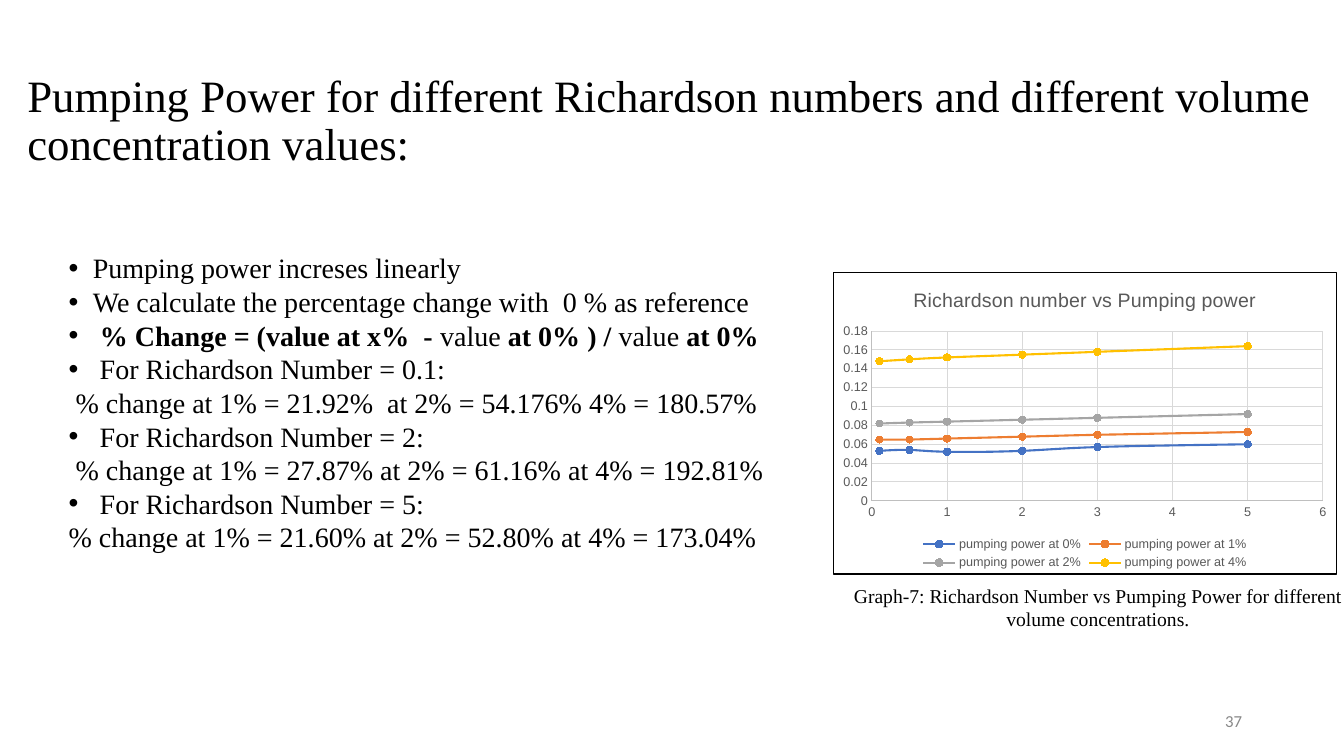
"""Build the slide on pumping power against Richardson number."""
from dataclasses import dataclass

from lxml import etree
from pptx import Presentation
from pptx.chart.data import XyChartData
from pptx.dml.color import RGBColor
from pptx.enum.chart import XL_CHART_TYPE, XL_LEGEND_POSITION, XL_MARKER_STYLE, XL_TICK_MARK
from pptx.enum.text import MSO_ANCHOR, MSO_AUTO_SIZE, PP_ALIGN
from pptx.oxml import parse_xml
from pptx.oxml.ns import nsdecls, qn
from pptx.util import Inches, Pt

SMOOTH_SCATTER = XL_CHART_TYPE.XY_SCATTER_SMOOTH
LEGEND_BOTTOM = XL_LEGEND_POSITION.BOTTOM
CIRCLE = XL_MARKER_STYLE.CIRCLE
NO_TICK = XL_TICK_MARK.NONE
TOP, MIDDLE = MSO_ANCHOR.TOP, MSO_ANCHOR.MIDDLE
NO_FIT = MSO_AUTO_SIZE.NONE
LEFT, CENTER, RIGHT = PP_ALIGN.LEFT, PP_ALIGN.CENTER, PP_ALIGN.RIGHT
SLIDE_WIDTH, SLIDE_HEIGHT = Inches(13.33), Inches(7.5)
BULLET_INDENT = Inches(0.24)


@dataclass(frozen=True)
class TextStyle:
    """Typeface, size in points, colour and alignment of a text."""
    font: str
    size: float
    color: str
    align: PP_ALIGN = LEFT


@dataclass(frozen=True)
class Theme:
    """All colours and type sizes of the slide."""
    title: TextStyle = TextStyle("Times New Roman", 32, "000000")
    body: TextStyle = TextStyle("Times New Roman", 20, "000000")
    caption: TextStyle = TextStyle("Times New Roman", 14, "000000", CENTER)
    number: TextStyle = TextStyle("Calibri", 12, "888888", RIGHT)
    chart: TextStyle = TextStyle("Arial", 10, "000000")
    chart_title: TextStyle = TextStyle("Arial", 14, "595959", CENTER)
    chart_label: TextStyle = TextStyle("Arial", 9, "595959")
    axis: str = "BFBFBF"
    grid: str = "D9D9D9"
    border: str = "000000"
    hairline: float = 0.75
    curve: float = 1.5


@dataclass(frozen=True)
class Frame:
    """A rectangle in percent of the slide's width and height."""
    left: float
    top: float
    width: float
    height: float

    def lengths(self) -> tuple:
        """Return left, top, width and height as slide lengths."""
        return (int(SLIDE_WIDTH * self.left / 100), int(SLIDE_HEIGHT * self.top / 100),
                int(SLIDE_WIDTH * self.width / 100), int(SLIDE_HEIGHT * self.height / 100))


@dataclass(frozen=True)
class Line:
    """One body line, whose spans are pairs of text and boldness."""
    spans: tuple
    bullet: bool = True


@dataclass(frozen=True)
class Curve:
    """One chart series."""
    name: str
    color: str
    values: tuple


THEME = Theme()
TITLE_FRAME = Frame(1.28, 10.93, 98.12, 16.8)
BODY_FRAME = Frame(4.35, 32.53, 53.94, 44.93)
CHART_FRAME = Frame(61.97, 36, 37.51, 40)
CAPTION_FRAME = Frame(62.49, 76.53, 38.41, 7.6)
NUMBER_FRAME = Frame(70.67, 92.67, 22.5, 5.33)

TITLE = "Pumping Power for different Richardson numbers and different volume concentration values:"
CAPTION = "Graph-7: Richardson Number vs Pumping Power for different volume concentrations."
LINES = (
    Line((("Pumping power increses linearly", False),)),
    Line((("We calculate the percentage change with  0 % as reference", False),)),
    Line(((" ", False), ("% Change = (value at x%  - ", True), ("value", False),
          (" at 0% ) / ", True), ("value", False), (" at 0%", True))),
    Line(((" For Richardson Number = 0.1:", False),)),
    Line(((" % change at 1% = 21.92%  at 2% = 54.176% 4% = 180.57%", False),), False),
    Line(((" For Richardson Number = 2:", False),)),
    Line(((" % change at 1% = 27.87% at 2% = 61.16% at 4% = 192.81%", False),), False),
    Line(((" For Richardson Number = 5:", False),)),
    Line((("% change at 1% = 21.60% at 2% = 52.80% at 4% = 173.04%", False),), False),
)
RICHARDSON_NUMBERS = (0.1, 0.5, 1, 2, 3, 5)
CURVES = (
    Curve("pumping power at 0%", "4472C4", (0.053, 0.054, 0.052, 0.053, 0.057, 0.06)),
    Curve("pumping power at 1%", "ED7D31", (0.065, 0.065, 0.066, 0.068, 0.07, 0.073)),
    Curve("pumping power at 2%", "A5A5A5", (0.082, 0.083, 0.084, 0.086, 0.088, 0.092)),
    Curve("pumping power at 4%", "FFC000", (0.148, 0.15, 0.152, 0.155, 0.158, 0.164)),
)


def style_font(font, style: TextStyle) -> None:
    """Give a font the typeface, size and colour of a style."""
    font.name, font.size, font.bold = style.font, Pt(style.size), False
    font.color.rgb = RGBColor.from_string(style.color)


def style_line(line, color: str, width: float) -> None:
    """Set the colour and width of a line."""
    line.color.rgb = RGBColor.from_string(color)
    line.width = Pt(width)


def prepare_box(box, frame: Frame, anchor: MSO_ANCHOR) -> None:
    """Place a text shape and fix its wrapping and anchor."""
    box.left, box.top, box.width, box.height = frame.lengths()
    box.text_frame.word_wrap = True
    box.text_frame.auto_size = NO_FIT
    box.text_frame.vertical_anchor = anchor


def write_text(box, text: str, style: TextStyle) -> None:
    """Write a single styled paragraph."""
    box.text_frame.text = text
    para = box.text_frame.paragraphs[0]
    para.alignment = style.align
    style_font(para.font, style)


def write_lines(box, lines: tuple) -> None:
    """Write the body lines with or without bullets."""
    for index, line in enumerate(lines):
        para = box.text_frame.paragraphs[0] if index == 0 else box.text_frame.add_paragraph()
        para.alignment, para.space_before = THEME.body.align, Pt(0)
        properties = para._p.get_or_add_pPr()
        indent = BULLET_INDENT if line.bullet else 0
        properties.set("marL", str(indent))
        properties.set("indent", str(-indent))
        if line.bullet:
            etree.SubElement(properties, qn("a:buFont"), typeface="Arial")
            etree.SubElement(properties, qn("a:buChar"), char="•")
        else:
            etree.SubElement(properties, qn("a:buNone"))
        style_font(para.font, THEME.body)
        for text, bold in line.spans:
            span = para.add_run()
            span.text = text
            if bold:
                span.font.bold = True


def style_axis(axis, maximum: float, step: float) -> None:
    """Scale an axis from zero and style its lines and labels."""
    axis.minimum_scale, axis.maximum_scale, axis.major_unit = 0, maximum, step
    axis.major_tick_mark = axis.minor_tick_mark = NO_TICK
    axis.has_major_gridlines = True
    style_line(axis.major_gridlines.format.line, THEME.grid, THEME.hairline)
    style_line(axis.format.line, THEME.axis, THEME.hairline)
    style_font(axis.tick_labels.font, THEME.chart_label)
    axis.tick_labels.number_format = "General"
    axis.tick_labels.number_format_is_linked = False


def add_power_chart(page) -> None:
    """Add the scatter chart of pumping power."""
    data = XyChartData()
    for curve in CURVES:
        series = data.add_series(curve.name)
        for point in zip(RICHARDSON_NUMBERS, curve.values):
            series.add_data_point(*point)
    chart = page.shapes.add_chart(SMOOTH_SCATTER, *CHART_FRAME.lengths(), data).chart
    style_font(chart.font, THEME.chart)
    chart.element.find(qn("c:chart")).addnext(parse_xml(
        f'<c:spPr {nsdecls("c", "a")}><a:ln w="{Pt(THEME.hairline)}"><a:solidFill>'
        f'<a:srgbClr val="{THEME.border}"/></a:solidFill></a:ln></c:spPr>'))
    chart.has_title = True
    write_text(chart.chart_title, "Richardson number vs Pumping power", THEME.chart_title)
    chart.has_legend = True
    chart.legend.position, chart.legend.include_in_layout = LEGEND_BOTTOM, False
    style_font(chart.legend.font, THEME.chart_label)
    style_axis(chart.category_axis, 6, 1)
    style_axis(chart.value_axis, 0.18, 0.02)
    chart.plots[0].vary_by_categories = False
    for smooth in chart.element.iter(qn("c:smooth")):
        smooth.set("val", "1")
    for series, curve in zip(chart.plots[0].series, CURVES):
        style_line(series.format.line, curve.color, THEME.curve)
        series.marker.style, series.marker.size = CIRCLE, 5
        series.marker.format.fill.solid()
        series.marker.format.fill.fore_color.rgb = RGBColor.from_string(curve.color)
        style_line(series.marker.format.line, curve.color, THEME.hairline)


def main() -> None:
    """Build and save the deck."""
    deck = Presentation()
    deck.slide_width, deck.slide_height = SLIDE_WIDTH, SLIDE_HEIGHT
    page = deck.slides.add_slide(deck.slide_layouts[1])
    title, body = page.placeholders
    prepare_box(title, TITLE_FRAME, MIDDLE)
    write_text(title, TITLE, THEME.title)
    title.text_frame.paragraphs[0].line_spacing = 0.9
    title.text_frame.margin_bottom = Inches(0.53)
    prepare_box(body, BODY_FRAME, TOP)
    write_lines(body, LINES)
    add_power_chart(page)
    for text, frame, style, anchor in ((CAPTION, CAPTION_FRAME, THEME.caption, TOP),
                                       ("37", NUMBER_FRAME, THEME.number, MIDDLE)):
        box = page.shapes.add_textbox(*frame.lengths())
        prepare_box(box, frame, anchor)
        write_text(box, text, style)
    deck.save("out.pptx")


if __name__ == "__main__":
    main()
